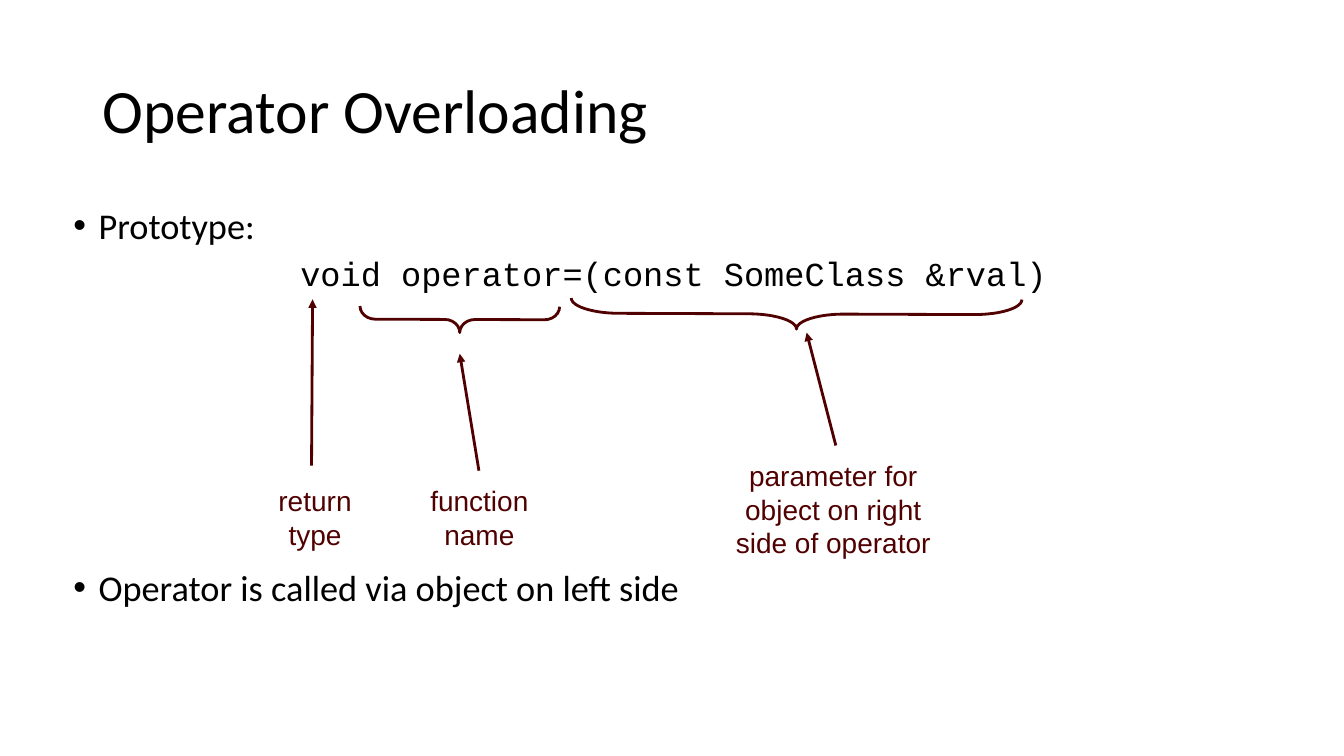
import pptx
import pptx.util
import pptx.dml.color
import pptx.enum.shapes
import pptx.enum.text
import pptx.oxml.ns
from dataclasses import dataclass
from lxml import etree

Inches = pptx.util.Inches
Pt = pptx.util.Pt
Align = pptx.enum.text.PP_ALIGN
Anchor = pptx.enum.text.MSO_ANCHOR
AutoSize = pptx.enum.text.MSO_AUTO_SIZE
qn = pptx.oxml.ns.qn


@dataclass(frozen=True)
class Theme:
    ink: str = "000000"
    accent: str = "500000"
    text_font: str = "Calibri"
    code_font: str = "Courier New"
    label_font: str = "Arial"
    title_size: float = 44
    bullet_size: float = 25.9
    code_size: float = 24
    label_size: float = 20
    line_width: float = 2


THEME = Theme()


def color(value):
    return pptx.dml.color.RGBColor.from_string(value)


def apply_format(target, values):
    for name, value in values.items():
        setattr(target, name, value)


def add_text_frame(slide, box, **values):
    frame = slide.shapes.add_textbox(*map(Inches, box)).text_frame
    apply_format(frame, {"word_wrap": True, **values})
    return frame


def write_paragraph(frame, text, font, size, ink, **values):
    """Fill the first empty paragraph, or append a new one."""
    paragraph = frame.paragraphs[0] if not frame.text else frame.add_paragraph()
    apply_format(paragraph, values)
    run = paragraph.add_run()
    run.text = text
    apply_format(run.font, {"name": font, "size": Pt(size)})
    run.font.color.rgb = color(ink)
    return paragraph


def set_indent(paragraph, margin, first_line=0, bullet=None):
    properties = paragraph._p.get_or_add_pPr()
    properties.set("marL", str(Inches(margin)))
    properties.set("indent", str(Inches(first_line)))
    if bullet:
        etree.SubElement(properties, qn("a:buFont")).set("typeface", "Arial")
        etree.SubElement(properties, qn("a:buChar")).set("char", bullet)


def style_line(line):
    line.color.rgb = color(THEME.accent)
    line.width = Pt(THEME.line_width)


def add_title(slide, box, text):
    frame = add_text_frame(slide, box, vertical_anchor=Anchor.MIDDLE)
    write_paragraph(frame, text, THEME.text_font, THEME.title_size, THEME.ink,
                    line_spacing=0.9)


def add_body(slide, box, prototype, code, remark):
    frame = add_text_frame(slide, box)
    # The wide gap before the remark leaves room for the annotations
    rows = [
        (prototype, THEME.text_font, THEME.bullet_size, 10, (0.25, -0.25, "•")),
        (code, THEME.code_font, THEME.code_size, 10, (2.25,)),
        (remark, THEME.text_font, THEME.bullet_size, 201, (0.25, -0.25, "•")),
    ]
    for text, font, size, gap, indent in rows:
        paragraph = write_paragraph(frame, text, font, size, THEME.ink,
                                    line_spacing=0.8, space_before=Pt(gap))
        set_indent(paragraph, *indent)


def add_label(slide, box, lines):
    # Without side margins each line has room to stay whole
    frame = add_text_frame(slide, box, word_wrap=False, margin_left=0,
                           margin_right=0, auto_size=AutoSize.NONE)
    for text in lines:
        write_paragraph(frame, text, THEME.label_font, THEME.label_size,
                        THEME.accent, alignment=Align.CENTER)


def add_brace(slide, box, curl):
    brace = slide.shapes.add_shape(
        pptx.enum.shapes.MSO_SHAPE.RIGHT_BRACE, *map(Inches, box))
    brace.rotation = 90.2
    brace.adjustments[0] = curl
    brace.adjustments[1] = 0.5
    brace.shadow.inherit = False
    brace.fill.background()
    style_line(brace.line)


def add_arrow(slide, start, end):
    arrow = slide.shapes.add_connector(
        pptx.enum.shapes.MSO_CONNECTOR.STRAIGHT, *map(Inches, start + end))
    style_line(arrow.line)
    etree.SubElement(arrow.line._get_or_add_ln(), qn("a:tailEnd")).set("type", "triangle")
    etree.SubElement(arrow._element.spPr, qn("a:effectLst"))


def add_annotations(slide, box):
    left, top = box[:2]

    def place(x, y, *size):
        return (left + x, top + y, *size)

    # Label box, label lines, arrow start, arrow tip
    notes = [
        (place(0, 1.78, 0.93, 0.77), ["return", "type"],
         place(0.43, 1.65), place(0.44, 0)),
        (place(1.51, 1.78, 1.17, 0.77), ["function", "name"],
         place(2.09, 1.7), place(1.9, 0.54)),
        (place(4.54, 1.53, 2.13, 1.1),
         ["parameter for", "object on right", "side of operator"],
         place(5.63, 1.45), place(5.34, 0.33)),
    ]
    for label_box, lines, start, tip in notes:
        add_label(slide, label_box, lines)
        add_arrow(slide, start, tip)

    # Braces under the function name and the parameter
    add_brace(slide, place(1.77, -0.79, 0.26, 1.98), 0.58)
    add_brace(slide, place(5.09, -2.09, 0.3, 4.47), 1.59)


def main():
    presentation = pptx.Presentation()
    presentation.slide_width = Inches(13.33)
    presentation.slide_height = Inches(7.5)
    slide = presentation.slides.add_slide(presentation.slide_layouts[6])

    add_title(slide, (0.92, 0.4, 11.5, 1.45), "Operator Overloading")
    add_body(slide, (0.63, 2.05, 12.07, 4.09), "Prototype:",
             "void operator=(const SomeClass &rval)",
             "Operator is called via object on left side")
    add_annotations(slide, (2.66, 2.97, 7.6, 2.63))
    presentation.save("out.pptx")


if __name__ == "__main__":
    main()
